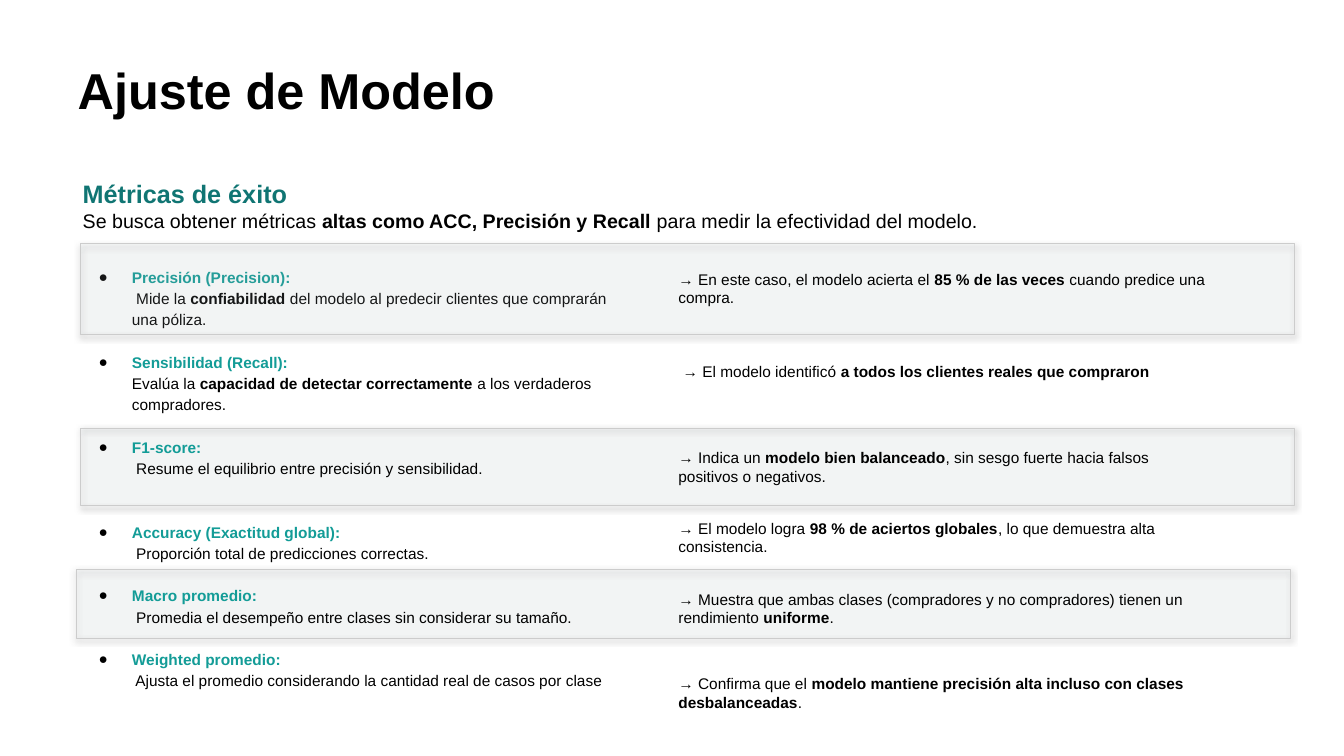
"""Build the slide that explains the success metrics of the model."""
from copy import deepcopy
from dataclasses import dataclass
from typing import Optional

from lxml.etree import SubElement
from pptx import Presentation
from pptx.dml.color import RGBColor
from pptx.enum.shapes import MSO_SHAPE as Preset
from pptx.enum.text import MSO_ANCHOR as Anchor, MSO_AUTO_SIZE as AutoSize, PP_ALIGN as Align
from pptx.oxml.ns import qn
from pptx.util import Pt

PX = 9144
BLACK, TEAL, DARK_TEAL = "000000", "139C97", "107573"
PANEL_FILL, PANEL_LINE, PANEL_SHADOW = "D0E0E3", "CCCCCC", "434343"
BODY_SIZE = 11
LINE_GAP = 15.2


@dataclass(frozen=True)
class Box:
    """A rectangle in px, a hundred to the inch."""
    left: int
    top: int
    width: int
    height: int

    def emu(self) -> tuple:
        """Return the four lengths in EMU."""
        return tuple(length * PX for length in (self.left, self.top, self.width, self.height))


@dataclass(frozen=True)
class Metric:
    """A metric with its definition and finding; asterisks enclose bold words."""
    name: str
    definition: str
    finding: str
    finding_box: Box
    gap_lines: int = 1
    panel: Optional[Box] = None


METRICS = [
    Metric("Precisión (Precision):",
           " Mide la *confiabilidad* del modelo al predecir clientes que comprarán una póliza.",
           "→ En este caso, el modelo acierta el *85 % de las veces* cuando predice una compra.",
           Box(663, 258, 545, 57), panel=Box(80, 242, 1204, 90)),
    Metric("Sensibilidad (Recall):",
           "Evalúa la *capacidad de detectar correctamente* a los verdaderos compradores.",
           " → El modelo identificó *a todos los clientes reales que compraron*",
           Box(663, 350, 545, 39)),
    Metric("F1-score:",
           " Resume el equilibrio entre precisión y sensibilidad.",
           "→ Indica un *modelo bien balanceado*, sin sesgo fuerte hacia falsos positivos o negativos.",
           Box(663, 435, 545, 57), gap_lines=2, panel=Box(80, 425, 1204, 77)),
    Metric("Accuracy (Exactitud global):",
           " Proporción total de predicciones correctas.",
           "→ El modelo logra *98 % de aciertos globales*, lo que demuestra alta consistencia.",
           Box(663, 505, 545, 57)),
    Metric("Macro promedio:",
           " Promedia el desempeño entre clases sin considerar su tamaño.",
           "→ Muestra que ambas clases (compradores y no compradores) tienen un rendimiento *uniforme*.",
           Box(663, 575, 545, 57), panel=Box(76, 565, 1204, 68)),
    Metric("Weighted promedio:",
           " Ajusta el promedio considerando la cantidad real de casos por clase",
           "→ Confirma que el *modelo mantiene precisión alta incluso con clases desbalanceadas*.",
           Box(663, 659, 619, 57), gap_lines=0),
]


def rgb(colour: str) -> RGBColor:
    """Turn a hex string into a colour."""
    return RGBColor.from_string(colour)


def add_words(paragraph, words: str, size: float, colour: str = BLACK) -> None:
    """Append words to a paragraph, bold between asterisks."""
    for position, piece in enumerate(words.split("*")):
        if not piece:
            continue
        run = paragraph.add_run()
        run.text = piece
        font = run.font
        font.name, font.size, font.bold = "Arial", Pt(size), position % 2 == 1
        font.color.rgb = rgb(colour)


def set_frame(frame, insets: tuple, auto_size=AutoSize.NONE) -> None:
    """Set wrapping, top anchor and the insets in px."""
    frame.word_wrap = True
    frame.auto_size = auto_size
    frame.vertical_anchor = Anchor.TOP
    (frame.margin_left, frame.margin_top,
     frame.margin_right, frame.margin_bottom) = (inset * PX for inset in insets)


def add_text_box(slide, box: Box, insets: tuple = (10, 10, 10, 10),
                 auto_size=AutoSize.SHAPE_TO_FIT_TEXT):
    """Add an empty text box and return its frame."""
    frame = slide.shapes.add_textbox(*box.emu()).text_frame
    set_frame(frame, insets, auto_size)
    return frame


def add_panel(slide, box: Box) -> None:
    """Add a translucent panel with a soft shadow."""
    panel = slide.shapes.add_shape(Preset.RECTANGLE, *box.emu())
    panel.fill.solid()
    panel.fill.fore_color.rgb = rgb(PANEL_FILL)
    panel.line.color.rgb = rgb(PANEL_LINE)
    panel.line.width = Pt(0.75)
    panel.shadow.inherit = False
    properties = panel._element.spPr
    fill_colour = properties.find(qn("a:solidFill")).find(qn("a:srgbClr"))
    SubElement(fill_colour, qn("a:alpha"), val="9000")
    shadow = SubElement(properties.find(qn("a:effectLst")), qn("a:outerShdw"),
                        blurRad=str(Pt(4.5)), dist=str(Pt(1.5)), dir="5400000",
                        algn="bl", rotWithShape="0")
    shadow_colour = SubElement(shadow, qn("a:srgbClr"), val=PANEL_SHADOW)
    SubElement(shadow_colour, qn("a:alpha"), val="50000")


def add_bullet(paragraph) -> None:
    """Give a paragraph a hanging black bullet."""
    properties = paragraph._p.get_or_add_pPr()
    properties.set("marL", str(50 * PX))
    properties.set("indent", str(-33 * PX))
    bullet_colour = SubElement(properties, qn("a:buClr"))
    SubElement(bullet_colour, qn("a:srgbClr"), val=BLACK)
    SubElement(properties, qn("a:buSzPts"), val=str(BODY_SIZE * 100))
    SubElement(properties, qn("a:buFont"), typeface="Arial")
    SubElement(properties, qn("a:buChar"), char="●")


def add_definitions(slide, metrics: list, box: Box) -> None:
    """Add the bulleted list of metric names and definitions."""
    frame = add_text_box(slide, box)
    for number, metric in enumerate(metrics):
        paragraph = frame.add_paragraph() if number else frame.paragraphs[0]
        add_bullet(paragraph)
        paragraph.line_spacing = 1.15
        paragraph.space_after = Pt(LINE_GAP * metric.gap_lines)
        add_words(paragraph, f"*{metric.name}*", BODY_SIZE, TEAL)
        paragraph.add_line_break()
        name_format = paragraph.runs[0]._r.rPr
        paragraph._p.find(qn("a:br")).insert(0, deepcopy(name_format))
        add_words(paragraph, metric.definition, BODY_SIZE)


def add_title(slide, words: str, box: Box) -> None:
    """Place and format the title placeholder."""
    title = slide.shapes.title
    title.left, title.top, title.width, title.height = box.emu()
    set_frame(title.text_frame, (10, 5, 10, 5))
    heading = title.text_frame.paragraphs[0]
    heading.alignment = Align.LEFT
    heading.line_spacing = 0.9
    add_words(heading, f"*{words}*", 36)


def main() -> None:
    """Build and save the slide."""
    deck = Presentation()
    deck.slide_width, deck.slide_height = 1333 * PX, 750 * PX
    slide = deck.slides.add_slide(deck.slide_layouts[5])
    add_title(slide, "Ajuste de Modelo", Box(67, 60, 1165, 124))

    intro_insets = (0, 2, 2, 2)
    subtitle = add_text_box(slide, Box(82, 175, 1121, 22), intro_insets, AutoSize.NONE)
    add_words(subtitle.paragraphs[0], "*Métricas de éxito*", 18, DARK_TEAL)
    goal = add_text_box(slide, Box(82, 205, 1121, 27), intro_insets, AutoSize.NONE)
    add_words(goal.paragraphs[0], "Se busca obtener métricas *altas como ACC, Precisión y Recall "
              "*para medir la efectividad del modelo.", 14)

    top_panel, *lower_panels = [metric.panel for metric in METRICS if metric.panel]
    for panel in lower_panels:
        add_panel(slide, panel)
    add_definitions(slide, METRICS, Box(71, 253, 548, 443))
    add_panel(slide, top_panel)
    for metric in METRICS:
        finding = add_text_box(slide, metric.finding_box)
        add_words(finding.paragraphs[0], metric.finding, BODY_SIZE)
    deck.save("out.pptx")


if __name__ == "__main__":
    main()
